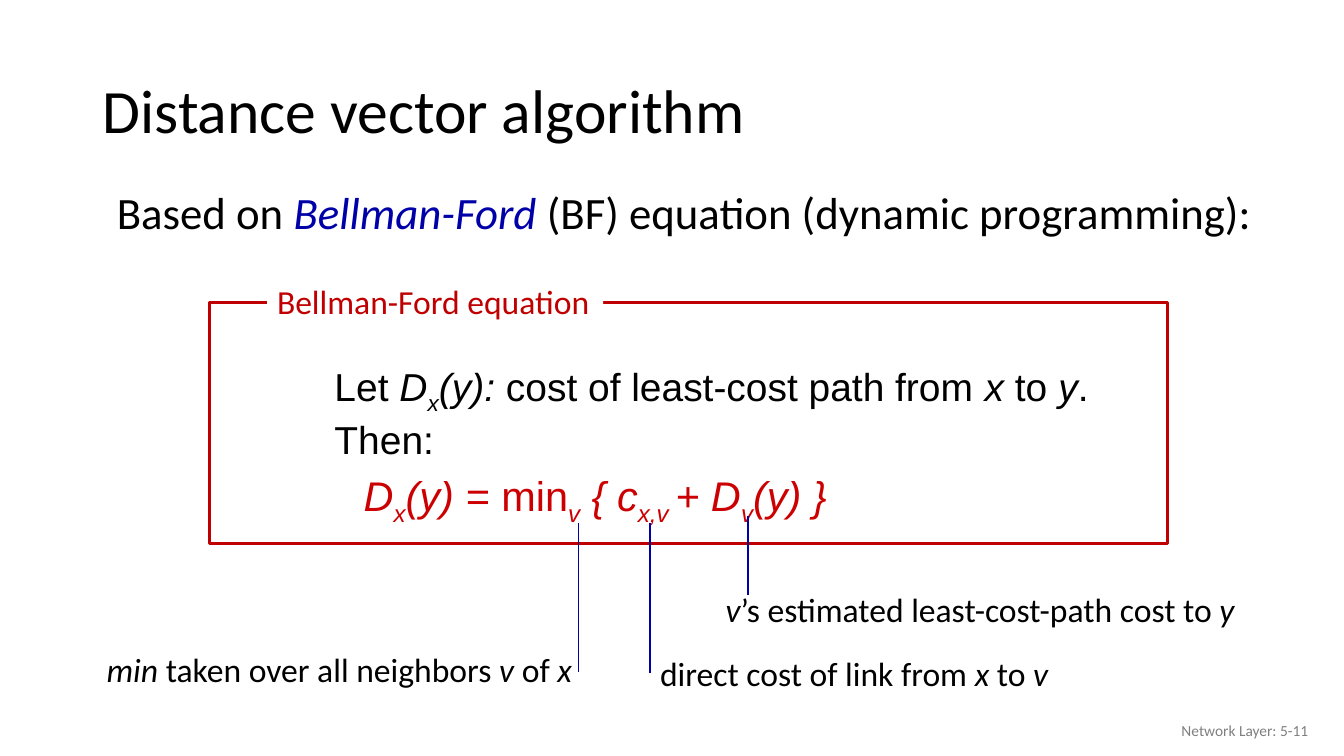
from dataclasses import dataclass
from typing import NamedTuple, Optional

from lxml import etree
from pptx import Presentation
from pptx.dml.color import RGBColor
from pptx.enum.shapes import MSO_CONNECTOR, MSO_SHAPE
from pptx.enum.text import MSO_ANCHOR, PP_ALIGN
from pptx.oxml.ns import qn
from pptx.util import Inches, Pt

BLACK = RGBColor(0x00, 0x00, 0x00)
WHITE = RGBColor(0xFF, 0xFF, 0xFF)
GRAY = RGBColor(0x80, 0x80, 0x80)
BLUE = RGBColor(0x00, 0x00, 0xA8)
FRAME_RED = RGBColor(0xC0, 0x00, 0x00)
FORMULA_RED = RGBColor(0xCC, 0x00, 0x00)

TOP, MIDDLE = MSO_ANCHOR.TOP, MSO_ANCHOR.MIDDLE
LEFT, RIGHT = PP_ALIGN.LEFT, PP_ALIGN.RIGHT
RECTANGLE, STRAIGHT = MSO_SHAPE.RECTANGLE, MSO_CONNECTOR.STRAIGHT
LEFT_SIDE = 1

# Grid: 40 columns by 30 rows cover the slide
COLUMN = Inches(40 / 3) // 40
ROW = Inches(7.5) // 30


class Box(NamedTuple):
    column: float
    row: float
    columns: float
    rows: float


class Words(NamedTuple):
    text: str
    italic: bool = False
    subscript: bool = False
    color: Optional[RGBColor] = None


@dataclass
class Callout:
    box: Box
    words: list[Words]
    column: float
    start_row: float
    end_row: float
    joined: bool = False


def italic(text: str) -> Words:
    return Words(text, italic=True)


def subscript(text: str) -> Words:
    return Words(text, italic=True, subscript=True)


def place(box: Box) -> tuple[int, int, int, int]:
    return (round(box.column * COLUMN), round(box.row * ROW),
            round(box.columns * COLUMN), round(box.rows * ROW))


def write(shape, words: list[Words], *, size: float, font: str = "Calibri",
          color: RGBColor = BLACK, align=LEFT, anchor=TOP, wrap: bool = True,
          spacing: float = 1.0, before: float = 0, margin: float = 0,
          indent: float = 0, append: bool = False) -> None:
    """Write one paragraph; margin and indent are in inches."""
    frame = shape.text_frame
    frame.word_wrap = wrap
    frame.vertical_anchor = anchor
    paragraph = frame.add_paragraph() if append else frame.paragraphs[0]
    paragraph.alignment = align
    paragraph.line_spacing = spacing
    paragraph.space_before = Pt(before)
    properties = paragraph._p.get_or_add_pPr()
    properties.set("marL", str(Inches(margin)))
    properties.set("indent", str(Inches(indent)))
    for part in words:
        run = paragraph.add_run()
        run.text = part.text
        run.font.name = font
        run.font.size = Pt(size)
        run.font.italic = part.italic
        run.font.color.rgb = part.color or color
        if part.subscript:
            run._r.get_or_add_rPr().set("baseline", "-25000")


def add_text(slide, box: Box, words: list[Words], **formatting):
    shape = slide.shapes.add_textbox(*place(box))
    write(shape, words, **formatting)
    return shape


def add_rectangle(slide, box: Box, fill: Optional[RGBColor] = None,
                  line: Optional[RGBColor] = None):
    shape = slide.shapes.add_shape(RECTANGLE, *place(box))
    shape.shadow.inherit = False
    if fill is None:
        shape.fill.background()
    else:
        shape.fill.solid()
        shape.fill.fore_color.rgb = fill
    if line is None:
        shape.line.fill.background()
    else:
        shape.line.color.rgb = line
        shape.line.width = Pt(2)
    return shape


def add_callout(slide, callout: Callout) -> None:
    note = add_text(slide, callout.box, callout.words, size=24, wrap=False)
    across = round(callout.column * COLUMN)
    pointer = slide.shapes.add_connector(
        STRAIGHT, across, round(callout.start_row * ROW),
        across, round(callout.end_row * ROW))
    pointer.line.color.rgb = BLUE
    pointer.line.width = Pt(1)
    etree.SubElement(pointer._element.spPr, qn("a:effectLst"))
    if callout.joined:
        pointer.begin_connect(note, LEFT_SIDE)


CALLOUTS = [
    Callout(Box(2.88, 25.56, 14.58, 2),
            [italic("min"), Words(" taken over all neighbors"), italic(" v "),
             Words("of "), italic("x")], 17.22, 26.68, 20.76),
    Callout(Box(21.3, 23.16, 15.93, 2),
            [italic("v"), Words("’s estimated least-cost-path cost to "),
             italic("y")], 22.26, 23.6, 20.48),
    Callout(Box(19.35, 25.72, 12.24, 2),
            [Words("direct cost of link from"), italic(" x "), Words("to "),
             italic("v")], 19.35, 26.72, 20.76, joined=True),
]

DEFINITION = [Words("Let "), italic("D"), subscript("x"), italic("(y): "),
              Words("cost of least-cost path from "), italic("x"),
              Words(" to "), italic("y"), Words(".")]

FORMULA = [italic("D"), subscript("x"), italic("(y) = "), Words("min"),
           subscript("v"), italic(" { c"), subscript("x,v "), italic("+ D"),
           subscript("v"), italic("(y) }")]


def main() -> None:
    presentation = Presentation()
    presentation.slide_width = 40 * COLUMN
    presentation.slide_height = 30 * ROW
    slide = presentation.slides.add_slide(presentation.slide_layouts[6])

    # Title, introduction and footer
    add_text(slide, Box(2.76, 1.6, 34.5, 5.8),
             [Words("Distance vector algorithm")],
             size=44, anchor=MIDDLE, spacing=0.9)
    add_text(slide, Box(2.76, 7.56, 35.5, 2.28),
             [Words("Based on "), Words("Bellman-Ford", italic=True, color=BLUE),
              Words(" (BF) equation (dynamic programming):")],
             size=32, spacing=0.8, before=10, margin=0.14)
    add_text(slide, Box(30.24, 28.2, 9, 1.6), [Words("Network Layer: 5-11")],
             size=11, color=GRAY, align=RIGHT, anchor=MIDDLE)

    # Equation in its labelled frame
    body = {"font": "Arial", "spacing": 0.8, "before": 10}
    equation = add_text(slide, Box(9.21, 14.4, 26.1, 8.64), DEFINITION,
                        size=27.8, margin=0.39, indent=-0.24, **body)
    write(equation, [Words("Then:")], size=27.8, margin=0.39, indent=-0.24,
          append=True, **body)
    write(equation, FORMULA, size=29.6, color=FORMULA_RED, margin=0.44,
          append=True, **body)
    add_rectangle(slide, Box(6.24, 12, 28.5, 9.56), line=FRAME_RED)
    label = add_rectangle(slide, Box(7.95, 10.96, 10, 2), fill=WHITE)
    write(label, [Words("Bellman-Ford equation")], size=24, color=FRAME_RED,
          wrap=False)

    # Notes that explain the terms
    for callout in CALLOUTS:
        add_callout(slide, callout)

    presentation.save("out.pptx")


if __name__ == "__main__":
    main()
